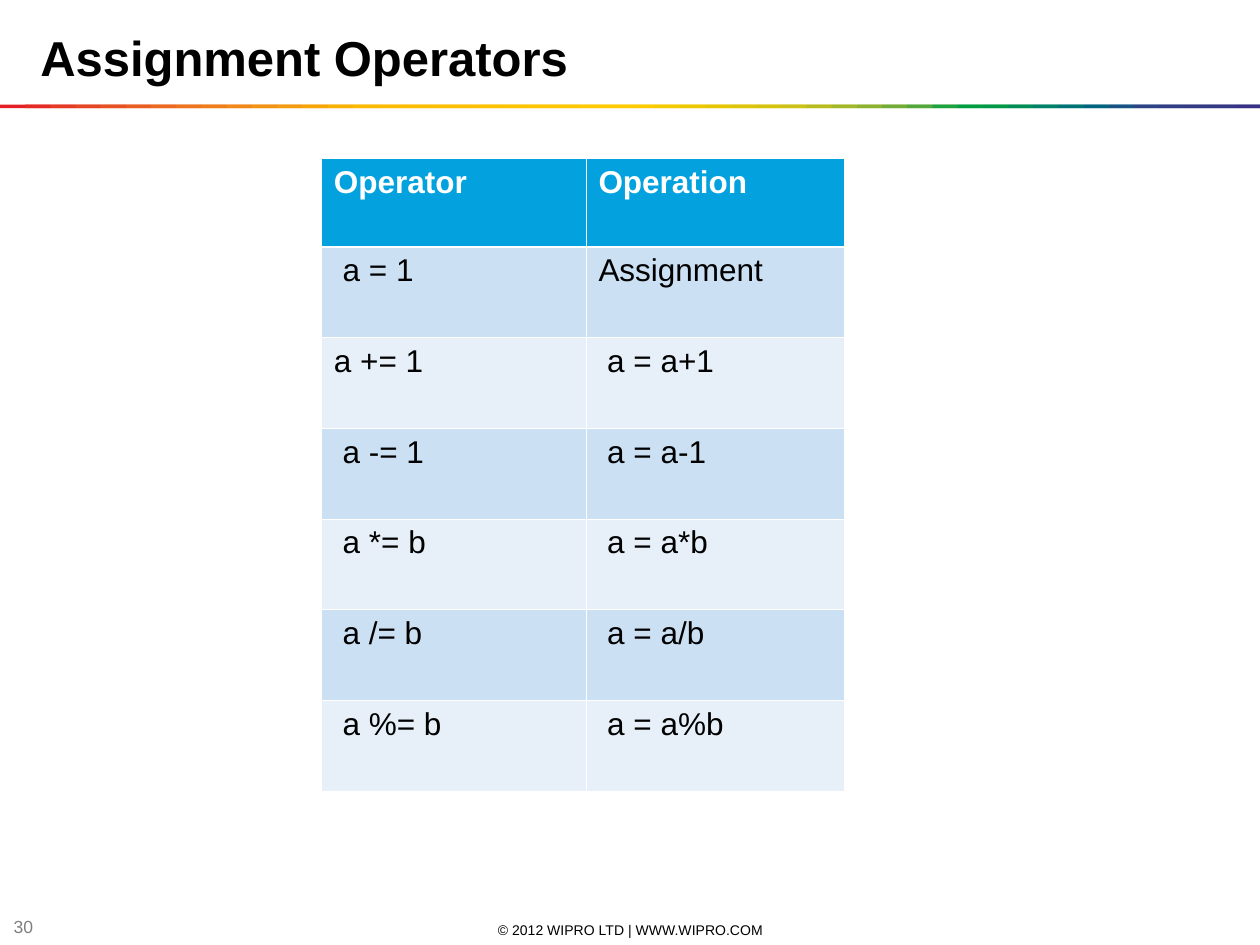
from dataclasses import dataclass

import pptx
import pptx.dml.color
import pptx.enum.shapes
import pptx.enum.text
import pptx.oxml.ns
import pptx.util
from lxml import etree

EMU_PER_PX = 9144  # 100 px to the inch
SLIDE_WIDTH, SLIDE_HEIGHT = 1000, 750


@dataclass(frozen=True)
class Theme:
    font: str = "Arial"
    title_size: int = 28
    table_size: int = 18
    number_size: int = 10
    footer_size: int = 8
    text: str = "000000"
    muted: str = "7F7F7F"
    light: str = "FFFFFF"
    header: str = "03A2DF"
    bands: tuple[str, str] = ("CBE0F3", "E7F0F9")
    thin: float = 0.45
    thick: float = 1.47


@dataclass(frozen=True)
class Box:
    left: int
    top: int
    width: int
    height: int

    def emu(self) -> tuple[int, ...]:
        return tuple(px(n) for n in (self.left, self.top, self.width, self.height))


@dataclass(frozen=True)
class Note:
    text: str
    box: Box
    size: int
    color: str
    align: pptx.enum.text.PP_ALIGN


THEME = Theme()
LEFT, CENTER = pptx.enum.text.PP_ALIGN.LEFT, pptx.enum.text.PP_ALIGN.CENTER

TITLE_BOX = Box(22, 17, 928, 57)
NOTES = [
    Note("© 2012 WIPRO LTD | WWW.WIPRO.COM", Box(342, 730, 317, 16),
         THEME.footer_size, THEME.text, CENTER),
    Note("30", Box(1, 727, 39, 16), THEME.number_size, THEME.muted, LEFT),
]

# Rainbow rule: each band overlaps the one before by half
RULE_TOP, RULE_HEIGHT, RULE_STEP = 83, 3, 20
RULE_COLORS = """
E31E24 E42C24 E53A24 E74623 E85122 EA5D21 EC691F EE741D EF7E1A F18817
F39314 F49C0F F6A607 F8B002 FBBA00 FBBB00 FBBD00 FCBF00 FCC000 FCC200
FDC400 FDC600 FDC700 FEC900 FECB00 FBCB00 F3CA00 ECC800 E4C602 DCC50A
D5C30E CCC117 B8BC21 A3B829 8CB230 71AD36 51A73B 1DA240 009D43 009846
008C57 008068 007275 00637F 185384 2E4285 313E85 333B85 353885 393185
""".split()

OPERATORS_BOX = Box(255, 126, 415, 502)
COLUMN_WIDTHS = (210, 205)
HEADER_HEIGHT, ROW_HEIGHT = 70, 72
OPERATORS = [
    ("Operator", "Operation"),
    (" a = 1", "Assignment"),
    ("a += 1", " a = a+1"),
    (" a -= 1", " a = a-1"),
    (" a *= b", " a = a*b"),
    (" a /= b", " a = a/b"),
    (" a %= b", " a = a%b"),
]


def px(length: int) -> int:
    return pptx.util.Emu(length * EMU_PER_PX)


def rgb(color: str) -> pptx.dml.color.RGBColor:
    return pptx.dml.color.RGBColor.from_string(color)


def style(paragraph, size: int, color: str, bold: bool = False, align=LEFT) -> None:
    paragraph.alignment = align
    font = paragraph.font
    font.name, font.size, font.bold = THEME.font, pptx.util.Pt(size), bold
    font.color.rgb = rgb(color)


def add_note(slide, note: Note) -> None:
    frame = slide.shapes.add_textbox(*note.box.emu()).text_frame
    frame.word_wrap = True
    frame.vertical_anchor = pptx.enum.text.MSO_ANCHOR.MIDDLE
    frame.text = note.text
    style(frame.paragraphs[0], note.size, note.color, align=note.align)


def add_rainbow_rule(slide) -> None:
    rule = slide.shapes.add_group_shape()
    for index, color in enumerate(RULE_COLORS):
        left = index * RULE_STEP
        width = min(2 * RULE_STEP, SLIDE_WIDTH - left)
        band = rule.shapes.add_shape(pptx.enum.shapes.MSO_SHAPE.RECTANGLE,
                                     *Box(left, RULE_TOP, width, RULE_HEIGHT).emu())
        band.shadow.inherit = False
        band.fill.solid()
        band.fill.fore_color.rgb = rgb(color)
        band.line.fill.background()


def add_title(slide, text: str) -> None:
    title = slide.shapes.title
    title.left, title.top, title.width, title.height = TITLE_BOX.emu()
    title.text_frame.text = text
    style(title.text_frame.paragraphs[0], THEME.title_size, THEME.text, bold=True)


def set_borders(cell, top: float, bottom: float) -> None:
    properties = cell._tc.get_or_add_tcPr()
    qn = pptx.oxml.ns.qn
    sides = {"a:lnL": THEME.thin, "a:lnR": THEME.thin, "a:lnT": top, "a:lnB": bottom}
    for tag, weight in sides.items():
        line = etree.SubElement(properties, qn(tag), w=str(pptx.util.Pt(weight)))
        fill = etree.SubElement(line, qn("a:solidFill"))
        etree.SubElement(fill, qn("a:srgbClr"), val=THEME.light)


def add_operators(slide) -> None:
    table = slide.shapes.add_table(len(OPERATORS), len(COLUMN_WIDTHS),
                                   *OPERATORS_BOX.emu()).table
    for column, width in zip(table.columns, COLUMN_WIDTHS):
        column.width = px(width)
    for r, texts in enumerate(OPERATORS):
        is_header = r == 0
        table.rows[r].height = px(HEADER_HEIGHT if is_header else ROW_HEIGHT)
        for c, text in enumerate(texts):
            cell = table.cell(r, c)
            set_borders(cell, top=THEME.thick if r == 1 else THEME.thin,
                        bottom=THEME.thick if is_header else THEME.thin)
            cell.fill.solid()
            cell.fill.fore_color.rgb = rgb(
                THEME.header if is_header else THEME.bands[(r - 1) % 2])
            cell.text = text
            style(cell.text_frame.paragraphs[0], THEME.table_size,
                  THEME.light if is_header else THEME.text, bold=is_header)


def main() -> None:
    deck = pptx.Presentation()
    deck.slide_width, deck.slide_height = px(SLIDE_WIDTH), px(SLIDE_HEIGHT)
    slide = deck.slides.add_slide(deck.slide_layouts.get_by_name("Title Only"))

    # Footer and rule
    for note in NOTES:
        add_note(slide, note)
    add_rainbow_rule(slide)

    # Title and table
    add_title(slide, "Assignment Operators")
    add_operators(slide)

    deck.save("out.pptx")


if __name__ == "__main__":
    main()
